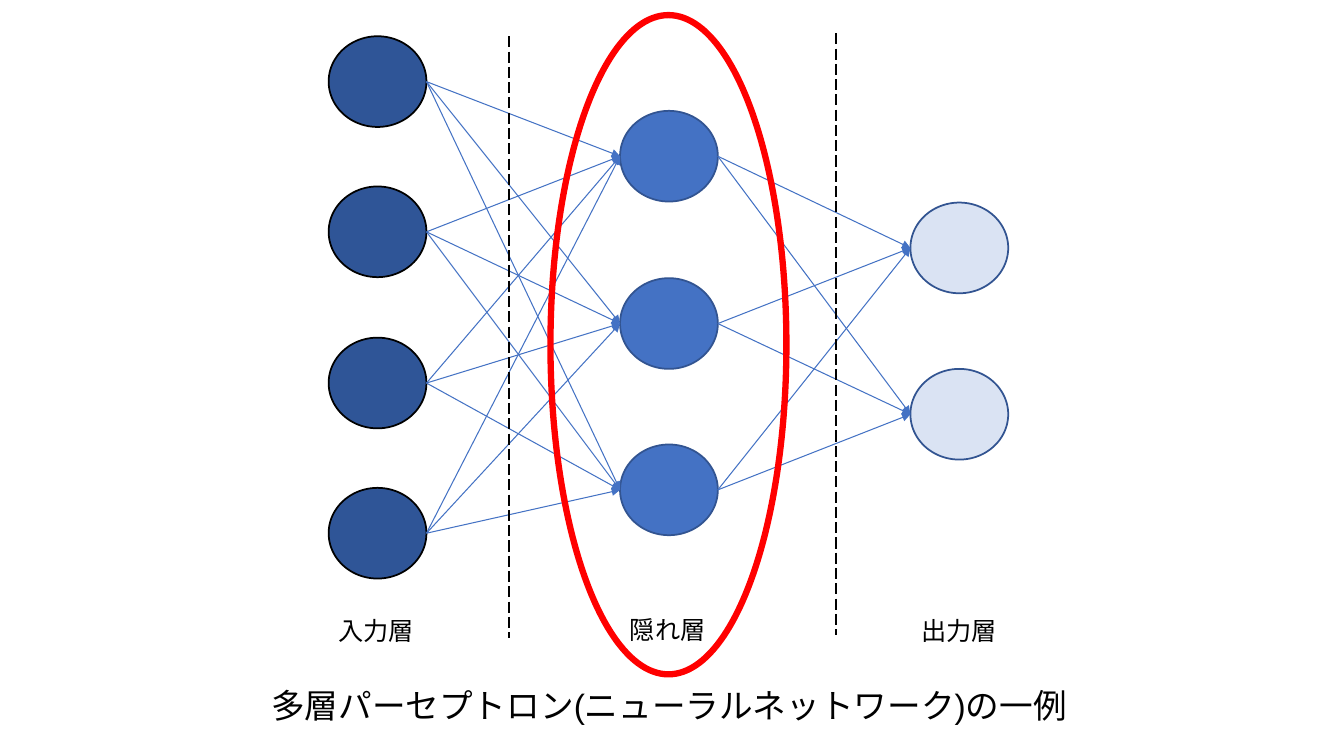
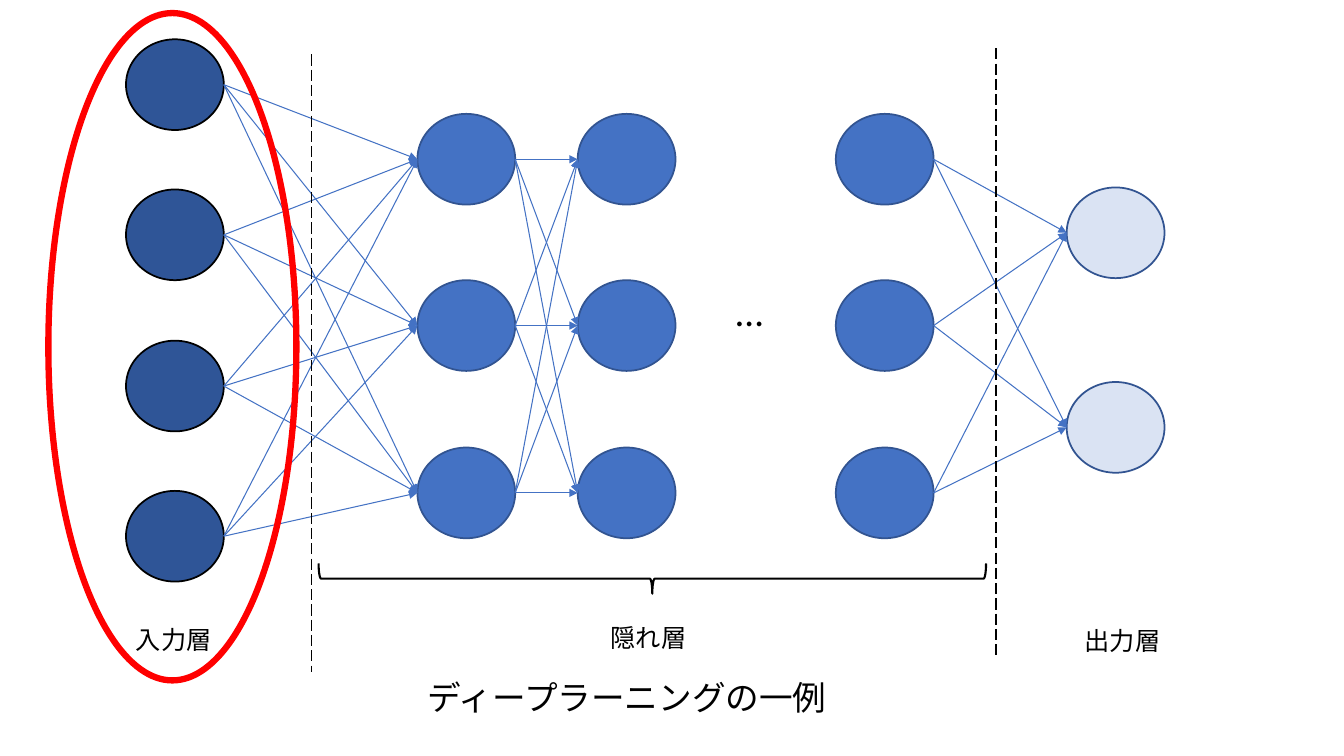
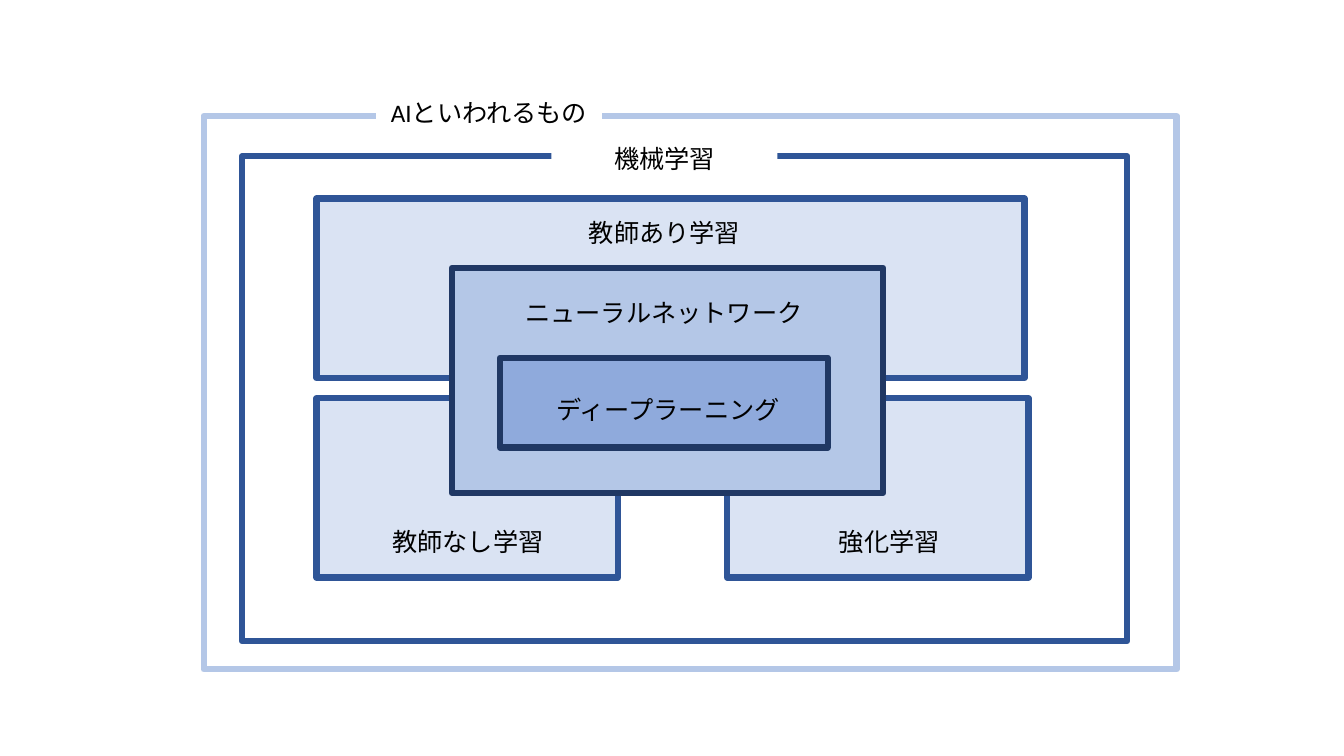
from dataclasses import dataclass
from itertools import pairwise, product
from typing import NamedTuple

from lxml.etree import SubElement
from pptx import Presentation
from pptx.dml.color import RGBColor
from pptx.enum.dml import MSO_LINE
from pptx.enum.lang import MSO_LANGUAGE_ID
from pptx.enum.shapes import MSO_CONNECTOR, MSO_SHAPE
from pptx.enum.text import MSO_ANCHOR, MSO_AUTO_SIZE, PP_ALIGN
from pptx.oxml.ns import qn
from pptx.util import Emu, Pt

EMU_PER_PX = 9144
SLIDE_W, SLIDE_H = 1333, 750
NODE_W, NODE_H = 97, 90
LABEL_W, LABEL_H = 103, 38
TITLE_ONLY, BLANK = 5, 6

BLACK = RGBColor(0x00, 0x00, 0x00)
WHITE = RGBColor(0xFF, 0xFF, 0xFF)
RED = RGBColor(0xFF, 0x00, 0x00)
NAVY = RGBColor(0x20, 0x38, 0x64)
DARK_BLUE = RGBColor(0x2F, 0x55, 0x97)
EDGE_BLUE = RGBColor(0x32, 0x54, 0x91)
BLUE = RGBColor(0x44, 0x72, 0xC4)
MID_BLUE = RGBColor(0x8F, 0xAA, 0xDC)
LIGHT_BLUE = RGBColor(0xB4, 0xC7, 0xE7)
PALE_BLUE = RGBColor(0xDA, 0xE3, 0xF3)

JAPANESE_FONT = "Noto Sans CJK JP"
LABEL_FONT = {"name": JAPANESE_FONT, "size": Pt(18)}
FIELD_FONT = {"name": "Calibri", "size": Pt(18)}
ELLIPSIS_FONT = {"name": "Calibri", "size": Pt(28)}
CAPTION_FONT = {"name": "Arial", "size": Pt(24), "bold": False}


class Frame(NamedTuple):
    left: int
    top: int
    width: int
    height: int


class Point(NamedTuple):
    x: int
    y: int


@dataclass(frozen=True)
class Layer:
    left: int
    first_top: int
    last_top: int
    count: int
    fill: RGBColor
    edge: RGBColor

    def tops(self) -> list[int]:
        step = (self.last_top - self.first_top) / (self.count - 1)
        return [round(self.first_top + i * step) for i in range(self.count)]

    def entries(self) -> list[Point]:
        return [Point(self.left, top + NODE_H // 2) for top in self.tops()]

    def exits(self) -> list[Point]:
        return [Point(x + NODE_W, y) for x, y in self.entries()]


@dataclass(frozen=True)
class Label:
    text: str
    left: int
    top: int


@dataclass(frozen=True)
class Divider:
    x: int
    top: int
    bottom: int


@dataclass(frozen=True)
class Network:
    caption: str
    caption_frame: Frame
    chains: list[list[Layer]]
    labels: list[Label]
    dividers: list[Divider]
    highlight: Frame


@dataclass(frozen=True)
class Field:
    name: str
    frame: Frame
    name_frame: Frame
    fill: RGBColor
    edge: RGBColor


def input_layer(left: int, top: int) -> Layer:
    return Layer(left, top, top + 448, 4, DARK_BLUE, BLACK)


def hidden_layer(left: int, top: int) -> Layer:
    return Layer(left, top, top + 331, 3, BLUE, EDGE_BLUE)


def output_layer(left: int, first_top: int, last_top: int) -> Layer:
    return Layer(left, first_top, last_top, 2, PALE_BLUE, EDGE_BLUE)


PERCEPTRON = Network(
    "多層パーセプトロン(ニューラルネットワーク)の一例",
    Frame(225, 674, 877, 50),
    [[input_layer(326, 36), hidden_layer(615, 110), output_layer(903, 201, 366)]],
    [Label("入力層", 326, 606), Label("隠れ層", 615, 604), Label("出力層", 904, 606)],
    [Divider(505, 36, 633), Divider(829, 33, 630)],
    Frame(546, 15, 234, 654),
)

DEEP_LEARNING = Network(
    "ディープラーニングの一例",
    Frame(378, 667, 488, 50),
    [
        [input_layer(125, 39), hidden_layer(414, 113), hidden_layer(573, 113)],
        [hidden_layer(829, 113), output_layer(1058, 186, 379)],
    ],
    [Label("入力層", 125, 614), Label("隠れ層", 596, 612), Label("出力層", 1066, 615)],
    [Divider(309, 54, 667), Divider(988, 48, 652)],
    Frame(48, 13, 246, 662),
)
HIDDEN_BRACE = Frame(632, 243, 30, 662)
ELLIPSIS = Frame(720, 280, 51, 57)

FIELDS = [
    Field("AIといわれるもの", Frame(202, 115, 965, 549), Frame(373, 92, 224, 40), WHITE, LIGHT_BLUE),
    Field("機械学習", Frame(240, 155, 878, 481), Frame(547, 137, 224, 40), WHITE, DARK_BLUE),
    Field("教師あり学習", Frame(314, 197, 702, 178), Frame(547, 211, 224, 40), PALE_BLUE, DARK_BLUE),
    Field("教師なし学習", Frame(314, 395, 299, 178), Frame(352, 517, 224, 40), PALE_BLUE, DARK_BLUE),
    Field("強化学習", Frame(721, 395, 299, 178), Frame(770, 517, 224, 40), PALE_BLUE, DARK_BLUE),
    Field("ニューラルネットワーク", Frame(448, 266, 428, 223), Frame(461, 290, 395, 40), LIGHT_BLUE, NAVY),
    Field("ディープラーニング", Frame(496, 355, 325, 89), Frame(518, 386, 289, 40), MID_BLUE, NAVY),
]


def px(length: int) -> Emu:
    return Emu(length * EMU_PER_PX)


def apply(target, values: dict) -> None:
    for attribute, value in values.items():
        setattr(target, attribute, value)


def write(holder, text: str, font: dict, align=PP_ALIGN.LEFT, anchor=MSO_ANCHOR.TOP) -> None:
    frame = holder.text_frame
    apply(frame, {
        "word_wrap": True,
        "auto_size": MSO_AUTO_SIZE.SHAPE_TO_FIT_TEXT,
        "vertical_anchor": anchor,
    })
    paragraph = frame.paragraphs[0]
    paragraph.alignment = align
    run = paragraph.add_run()
    run.text = text
    apply(run.font, font | {"language_id": MSO_LANGUAGE_ID.JAPANESE})
    run.font.color.rgb = BLACK
    SubElement(run.font._element, qn("a:ea"), typeface=JAPANESE_FONT)


def add_text(slide, frame: Frame, text: str, font: dict, **layout):
    holder = slide.shapes.add_textbox(*map(px, frame))
    write(holder, text, font, **layout)
    return holder


def add_caption(slide, text: str, frame: Frame) -> None:
    title = slide.shapes.title
    apply(title, dict(zip(Frame._fields, map(px, frame))))
    write(title, text, CAPTION_FONT, align=PP_ALIGN.CENTER)


def add_outline(slide, kind, frame: Frame, fill: RGBColor | None, edge: RGBColor, width: float):
    shape = slide.shapes.add_shape(kind, *map(px, frame))
    shape.shadow.inherit = False
    if fill is None:
        shape.fill.background()
    else:
        shape.fill.solid()
        shape.fill.fore_color.rgb = fill
    shape.line.color.rgb = edge
    shape.line.width = Pt(width)
    return shape


def add_line(slide, start: Point, end: Point, color: RGBColor, width: float):
    line = slide.shapes.add_connector(MSO_CONNECTOR.STRAIGHT, *map(px, (*start, *end)))
    line.line.color.rgb = color
    line.line.width = Pt(width)
    SubElement(line._element.spPr, qn("a:effectLst"))
    return line


def add_arrow(slide, start: Point, end: Point) -> None:
    arrow = add_line(slide, start, end, BLUE, 0.75)
    SubElement(arrow.line._get_or_add_ln(), qn("a:tailEnd"), type="triangle")


def add_layer(slide, layer: Layer) -> None:
    for top in layer.tops():
        node = Frame(layer.left, top, NODE_W, NODE_H)
        add_outline(slide, MSO_SHAPE.OVAL, node, layer.fill, layer.edge, 1.25)


def add_network(deck, network: Network):
    slide = deck.slides.add_slide(deck.slide_layouts[TITLE_ONLY])
    add_caption(slide, network.caption, network.caption_frame)
    for label in network.labels:
        add_text(slide, Frame(label.left, label.top, LABEL_W, LABEL_H), label.text, LABEL_FONT)
    for chain in network.chains:
        for layer in chain:
            add_layer(slide, layer)
        for source, target in pairwise(chain):
            for start, end in product(source.exits(), target.entries()):
                add_arrow(slide, start, end)
    for divider in network.dividers:
        top, bottom = Point(divider.x, divider.top), Point(divider.x, divider.bottom)
        add_line(slide, top, bottom, BLACK, 1).line.dash_style = MSO_LINE.LONG_DASH
    add_outline(slide, MSO_SHAPE.OVAL, network.highlight, None, RED, 4.5)
    return slide


def add_deep_learning(deck) -> None:
    slide = add_network(deck, DEEP_LEARNING)
    brace = add_outline(slide, MSO_SHAPE.LEFT_BRACE, HIDDEN_BRACE, None, BLACK, 1.5)
    brace.rotation = 270
    add_text(slide, ELLIPSIS, "…", ELLIPSIS_FONT, anchor=MSO_ANCHOR.MIDDLE)


def add_field_map(deck) -> None:
    slide = deck.slides.add_slide(deck.slide_layouts[BLANK])
    for field in FIELDS:
        add_outline(slide, MSO_SHAPE.RECTANGLE, field.frame, field.fill, field.edge, 4.5)
    for field in FIELDS:
        name = add_text(slide, field.name_frame, field.name, FIELD_FONT, align=PP_ALIGN.CENTER)
        name.fill.solid()
        name.fill.fore_color.rgb = field.fill


def main() -> None:
    deck = Presentation()
    apply(deck, {"slide_width": px(SLIDE_W), "slide_height": px(SLIDE_H)})
    add_network(deck, PERCEPTRON)
    add_deep_learning(deck)
    add_field_map(deck)
    deck.save("out.pptx")


if __name__ == "__main__":
    main()
